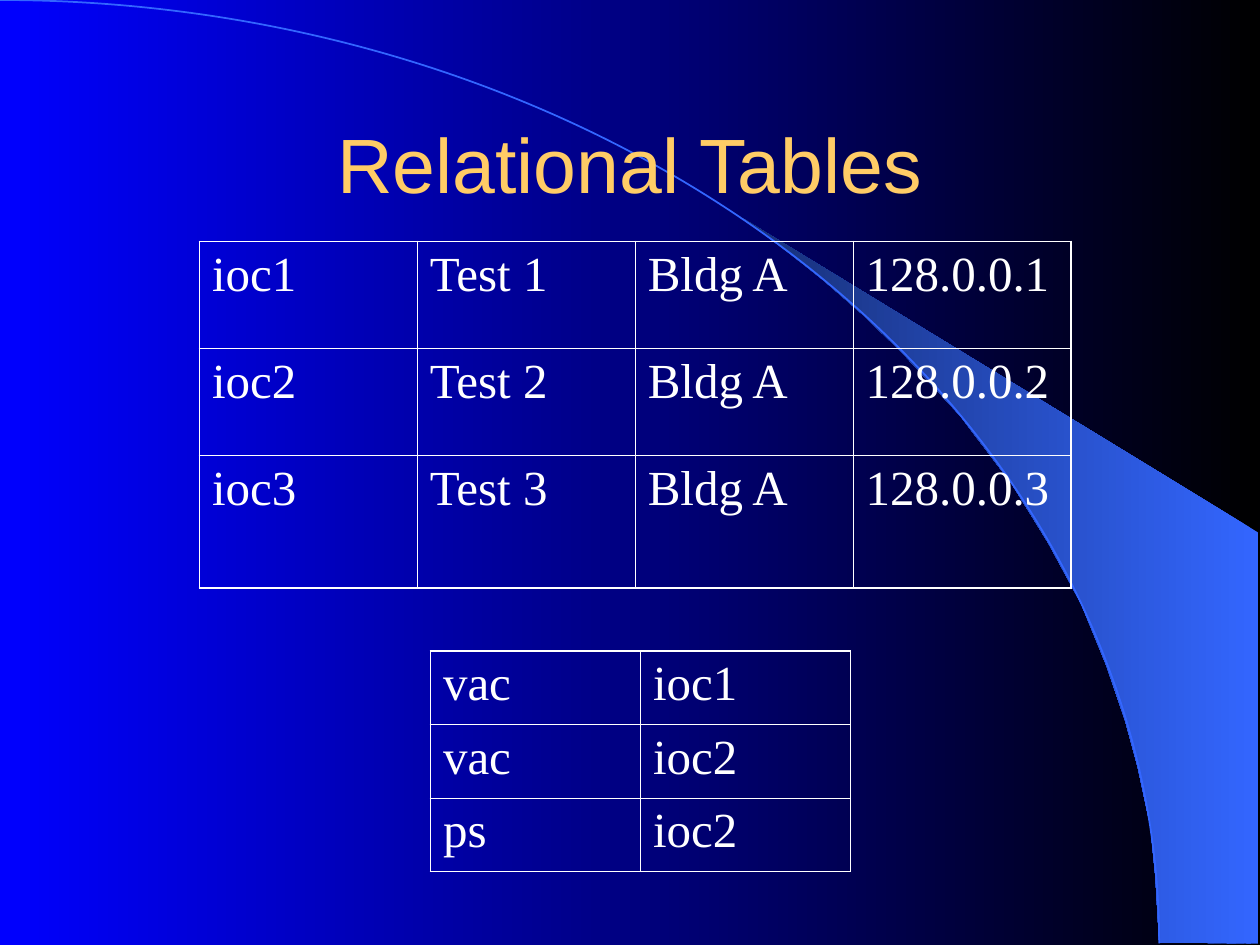
"""Build the Relational Tables slide on a grid of 120 columns by 90 rows."""
from dataclasses import dataclass
from typing import NamedTuple

from lxml import etree
from pptx import Presentation
from pptx.dml.color import RGBColor
from pptx.enum.shapes import MSO_SHAPE
from pptx.enum.text import MSO_ANCHOR, PP_ALIGN
from pptx.oxml.ns import qn
from pptx.util import Inches, Pt

ARC = MSO_SHAPE.ARC
MIDDLE = MSO_ANCHOR.MIDDLE
CENTER = PP_ALIGN.CENTER
UNIT = Inches(1) // 12
CENT = Inches(1) // 100


@dataclass(frozen=True)
class Theme:
    black: str = "000000"
    blue: str = "0000FF"
    sky: str = "3366FF"
    navy: str = "172F75"
    gold: str = "FFCC66"
    white: str = "FFFFFF"
    head: str = "Arial"
    body: str = "Times New Roman"
    head_size: float = 44
    body_size: float = 28
    arc: float = 1
    outer: float = 1.08
    inner: float = 0.45


class Box(NamedTuple):
    col: float
    row: float
    wide: float
    high: float


class Grid(NamedTuple):
    box: Box
    rows: tuple[float, ...]
    data: tuple[tuple[str, ...], ...]


THEME = Theme()
TITLE = Box(9, 8, 102, 15)
CURVE = Box(-110.4, 0, 220.8, 179.7)
BEAM = (
    (920, 748), (999, 749), (999, 423), (589, 173), (624, 199), (653, 222),
    (685, 250), (716, 280), (762, 330), (803, 384), (832, 431), (858, 479),
    (878, 528), (893, 572), (903, 609), (913, 656), (917, 696),
)
GRIDS = (
    Grid(Box(41, 62, 40, 21), (7, 7, 7),
         (("vac", "ioc1"), ("vac", "ioc2"), ("ps", "ioc2"))),
    Grid(Box(19, 23, 83, 33), (10.2, 10.2, 12.6),
         tuple((f"ioc{n}", f"Test {n}", "Bldg A", f"128.0.0.{n}")
               for n in (1, 2, 3))),
)


def place(box: Box) -> list[int]:
    """Turn grid units into slide lengths."""
    return [round(part * UNIT) for part in box]


def blend(fill, start: str, end: str) -> None:
    """Fill with a gradient that runs from right to left."""
    fill.gradient()
    fill.gradient_angle = 180
    for stop, tint in zip(fill.gradient_stops, (start, end)):
        stop.color.rgb = RGBColor.from_string(tint)


def style(frame, face: str, size: float, tint: str) -> None:
    """Set the font of the first paragraph."""
    for run in frame.paragraphs[0].runs:
        run.font.name = face
        run.font.size = Pt(size)
        run.font.color.rgb = RGBColor.from_string(tint)


def edge(cell, side: str, width: float) -> None:
    """Draw one border of a cell."""
    props = cell._tc.get_or_add_tcPr()
    line = etree.SubElement(props, qn(f"a:ln{side}"), w=str(Pt(width)))
    fill = etree.SubElement(line, qn("a:solidFill"))
    etree.SubElement(fill, qn("a:srgbClr"), val=THEME.white)


def draw_beam(slide) -> None:
    """Draw the light beam outside the curve."""
    pen = slide.shapes.build_freeform(*BEAM[0], scale=CENT)
    pen.add_line_segments(BEAM[1:], close=True)
    beam = pen.convert_to_shape()
    beam.shadow.inherit = False
    beam.line.fill.background()
    blend(beam.fill, THEME.sky, THEME.navy)


def draw_curve(slide) -> None:
    """Draw the quarter ellipse across the slide."""
    curve = slide.shapes.add_shape(ARC, *place(CURVE))
    curve.shadow.inherit = False
    curve.fill.background()
    curve.line.color.rgb = RGBColor.from_string(THEME.sky)
    curve.line.width = Pt(THEME.arc)


def draw_title(slide, text: str) -> None:
    """Draw the centred heading."""
    frame = slide.shapes.add_textbox(*place(TITLE)).text_frame
    frame.word_wrap = True
    frame.vertical_anchor = MIDDLE
    frame.text = text
    frame.paragraphs[0].alignment = CENTER
    style(frame, THEME.head, THEME.head_size, THEME.gold)


def draw_grid(slide, grid: Grid) -> None:
    """Draw a clear table with a heavier outer border."""
    down, over = len(grid.data), len(grid.data[0])
    table = slide.shapes.add_table(down, over, *place(grid.box)).table
    table.first_row = table.horz_banding = False
    for row, high in zip(table.rows, grid.rows):
        row.height = round(high * UNIT)
    for r, line in enumerate(grid.data):
        for c, text in enumerate(line):
            cell = table.cell(r, c)
            cell.text_frame.text = text
            style(cell.text_frame, THEME.body, THEME.body_size, THEME.white)
            rims = {"L": c == 0, "R": c == over - 1,
                    "T": r == 0, "B": r == down - 1}
            for side, rim in rims.items():
                edge(cell, side, THEME.outer if rim else THEME.inner)
            cell.fill.background()


def main() -> None:
    """Build and save the slide."""
    deck = Presentation()
    deck.slide_width, deck.slide_height = 120 * UNIT, 90 * UNIT
    slide = deck.slides.add_slide(deck.slide_layouts[6])
    blend(slide.background.fill, THEME.black, THEME.blue)
    draw_beam(slide)
    draw_curve(slide)
    draw_title(slide, "Relational Tables")
    for grid in GRIDS:
        draw_grid(slide, grid)
    deck.save("out.pptx")


if __name__ == "__main__":
    main()
